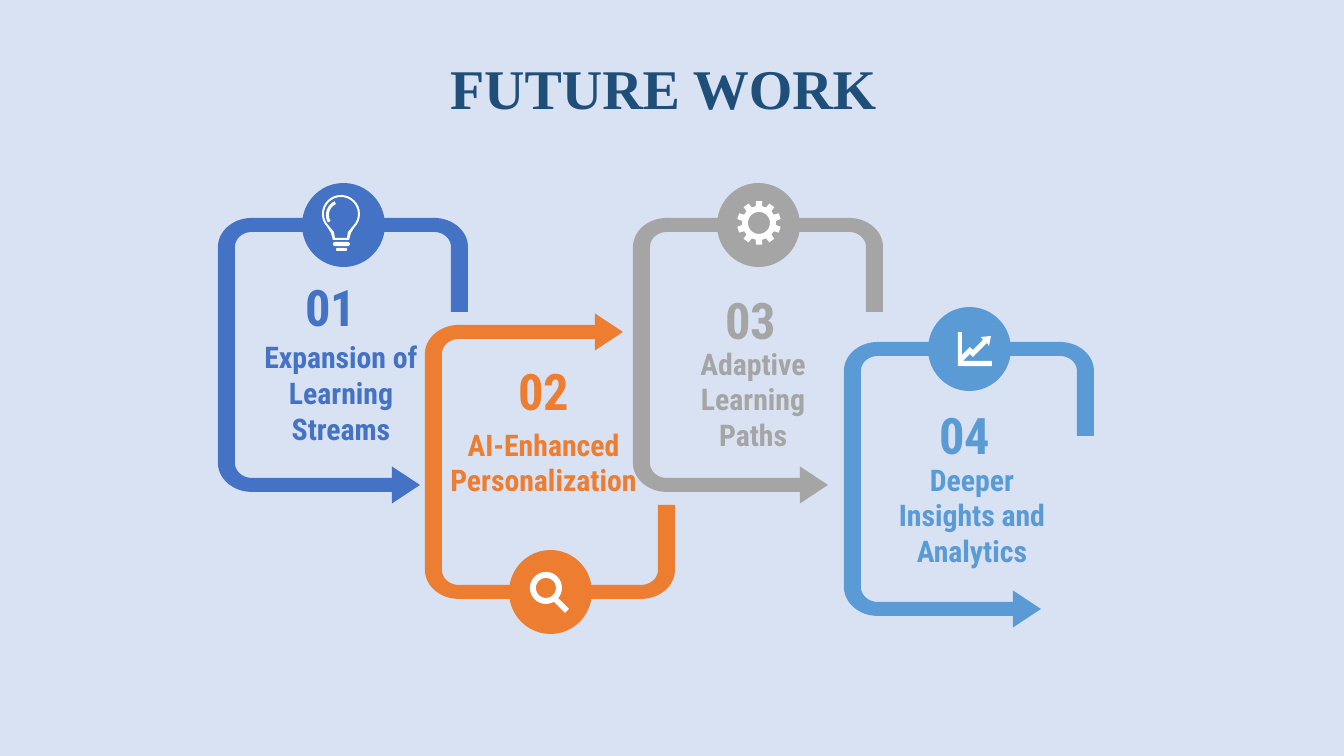
"""Build the Future Work slide: four linked frames with icons, numbers and labels."""
from math import cos, radians, sin

from pptx import Presentation
from pptx.dml.color import RGBColor
from pptx.enum.shapes import MSO_SHAPE as SHAPE
from pptx.enum.text import MSO_ANCHOR as ANCHOR, MSO_AUTO_SIZE as AUTO, PP_ALIGN as ALIGN
from pptx.util import Pt

EMU_PER_PX = 914400 / 100.8
BACKGROUND = RGBColor(0xD8, 0xE2, 0xF3)
NAVY = RGBColor(0x1F, 0x4E, 0x79)
BLUE = RGBColor(0x44, 0x72, 0xC4)
ORANGE = RGBColor(0xED, 0x7D, 0x31)
GRAY = RGBColor(0xA5, 0xA5, 0xA5)
SKY = RGBColor(0x5B, 0x9B, 0xD5)
WHITE = RGBColor(0xFF, 0xFF, 0xFF)

TITLE = ("FUTURE WORK", (440, 48, 447, 78))
STEPS = [
    dict(number="01", label="Expansion of Learning Streams", color=BLUE, at=(218, 218),
         flip=False, head=174, number_box=(232, 263, 198, 56), label_box=(242, 308, 198, 169)),
    dict(number="02", label="AI-Enhanced Personalization", color=ORANGE, at=(425, 325),
         flip=True, head=170, number_box=(445, 347, 198, 56), label_box=(434, 442, 219, 40)),
    dict(number="03", label="Adaptive Learning Paths", color=GRAY, at=(633, 218),
         flip=False, head=167, number_box=(652, 276, 198, 56), label_box=(654, 379, 198, 40)),
    dict(number="04", label="Deeper Insights and Analytics", color=SKY, at=(844, 342),
         flip=False, head=169, number_box=(863, 391, 204, 56), label_box=(870, 495, 204, 40)),
]
FRAME_W, FRAME_H, SIDE, BAR = 250, 274, 17, 14
CORNER_X, CORNER_Y = 34, 29
BAR_END, TAIL_END = 174, 94
HEAD_W, HEAD_H = 28, 37
BADGE = (84, -35, 83, 84)
INSET = 13

BULB_BASE = [(333, 242, 17, 4), (336, 248, 11, 3)]
BULB_NECK = [(351, 233), (349, 240), (333, 240), (331, 233)]
BULB_NECK_INSIDE = [(348, 232), (347, 238), (335, 238), (334, 232)]
LENS_HANDLE = [(553, 601), (565, 613), (569, 609), (557, 597)]
GROWTH_CHART = [(958, 332), (962, 332), (962, 355), (970, 347), (973, 350), (983, 340),
                (981, 337), (991, 336), (989, 346), (987, 343), (973, 357), (970, 354),
                (963, 361), (992, 361), (992, 366), (958, 366)]


def px(n):
    return round(n * EMU_PER_PX)


def arc(cx, cy, rx, ry, start, end, steps=24):
    angles = [radians(start + (end - start) * i / steps) for i in range(steps + 1)]
    return [(cx + rx * cos(a), cy + ry * sin(a)) for a in angles]


def circle(cx, cy, r):
    return arc(cx, cy, r, r, 0, 360, 60)


def gear(cx, cy, tip, root, teeth=10):
    corners = [(-11, root), (-8, tip), (8, tip), (11, root)]
    return [(cx + r * sin(radians(360 * i / teeth + a)), cy - r * cos(radians(360 * i / teeth + a)))
            for i in range(teeth) for a, r in corners]


def frame_outline():
    right, low = FRAME_W - CORNER_X, FRAME_H - CORNER_Y
    corners = [(CORNER_X, low, 90), (CORNER_X, CORNER_Y, 180), (right, CORNER_Y, 270)]
    outer, inner = [], []
    for cx, cy, a in corners:
        outer += arc(cx, cy, CORNER_X, CORNER_Y, a, a + 90)
        inner += arc(cx, cy, CORNER_X - SIDE, CORNER_Y - BAR, a, a + 90)
    tail = [(FRAME_W, TAIL_END), (FRAME_W - SIDE, TAIL_END)]
    return [(BAR_END, FRAME_H)] + outer + tail + inner[::-1] + [(BAR_END, FRAME_H - BAR)]


def paint(shape, color):
    shape.fill.solid()
    shape.fill.fore_color.rgb = color
    shape.line.fill.background()
    shape.shadow.inherit = False


def outline(s, contours, color):
    emu = [[(px(x), px(y)) for x, y in c] for c in contours]
    builder = s.shapes.build_freeform(*emu[0][0])
    builder.add_line_segments(emu[0][1:], close=True)
    for c in emu[1:]:
        builder.move_to(*c[0])
        builder.add_line_segments(c[1:], close=True)
    paint(builder.convert_to_shape(), color)


def preset(s, kind, box, color):
    shape = s.shapes.add_shape(kind, *map(px, box))
    paint(shape, color)
    return shape


def draw_frame(s, step):
    left, top = step["at"]
    head, mid = step["head"], FRAME_H - BAR // 2
    arrow = [(head, mid - HEAD_H / 2), (head + HEAD_W, mid), (head, mid + HEAD_H / 2)]
    for points in (frame_outline(), arrow):
        placed = [(left + x, top + (FRAME_H - y if step["flip"] else y)) for x, y in points]
        outline(s, [placed], step["color"])
    x, y, w, h = BADGE
    y = FRAME_H - y - h if step["flip"] else y
    preset(s, SHAPE.OVAL, (left + x, top + y, w, h), step["color"])


def draw_icons(s):
    glass = arc(341, 214, 19, 19, 135, 405) + BULB_NECK
    hollow = arc(341, 214, 17, 17, 135, 405) + BULB_NECK_INSIDE
    shine = arc(341, 215, 15, 15, 150, 245) + arc(341, 215, 12, 12, 245, 150)
    icons = [
        [glass, hollow], [shine],
        [circle(546, 588, 16), circle(546, 588, 10)], [LENS_HANDLE],
        [gear(759, 223, 22, 17), circle(759, 223, 11)],
        [GROWTH_CHART],
    ]
    for contours in icons:
        outline(s, contours, WHITE)
    for box in BULB_BASE:
        preset(s, SHAPE.ROUNDED_RECTANGLE, box, WHITE).adjustments[0] = 0.5


def style(p, size, font, color, align):
    p.alignment = align
    p.font.size, p.font.name, p.font.bold = Pt(size), font, True
    p.font.color.rgb = color


def add_text(s, text, box, size, color, anchor):
    tf = s.shapes.add_textbox(*map(px, box)).text_frame
    tf.word_wrap, tf.vertical_anchor = True, anchor
    tf.margin_left = tf.margin_right = tf.margin_top = tf.margin_bottom = px(INSET)
    tf.text = text
    style(tf.paragraphs[0], size, "Roboto Condensed", color, ALIGN.CENTER)


def add_title(s):
    text, box = TITLE
    title = s.shapes.title
    title.left, title.top, title.width, title.height = map(px, box)
    tf = title.text_frame
    tf.text = text
    tf.word_wrap, tf.auto_size, tf.vertical_anchor = False, AUTO.NONE, ANCHOR.TOP
    style(tf.paragraphs[0], 40, "Times New Roman", NAVY, ALIGN.LEFT)


def main():
    prs = Presentation()
    prs.slide_width, prs.slide_height = px(1344), px(756)
    s = prs.slides.add_slide(prs.slide_layouts[5])
    s.background.fill.solid()
    s.background.fill.fore_color.rgb = BACKGROUND
    add_title(s)
    for step in STEPS:
        draw_frame(s, step)
    for step in STEPS:
        add_text(s, step["number"], step["number_box"], 36, step["color"], ANCHOR.TOP)
        add_text(s, step["label"], step["label_box"], 21.3, step["color"], ANCHOR.MIDDLE)
    draw_icons(s)
    prs.save("out.pptx")


if __name__ == "__main__":
    main()
